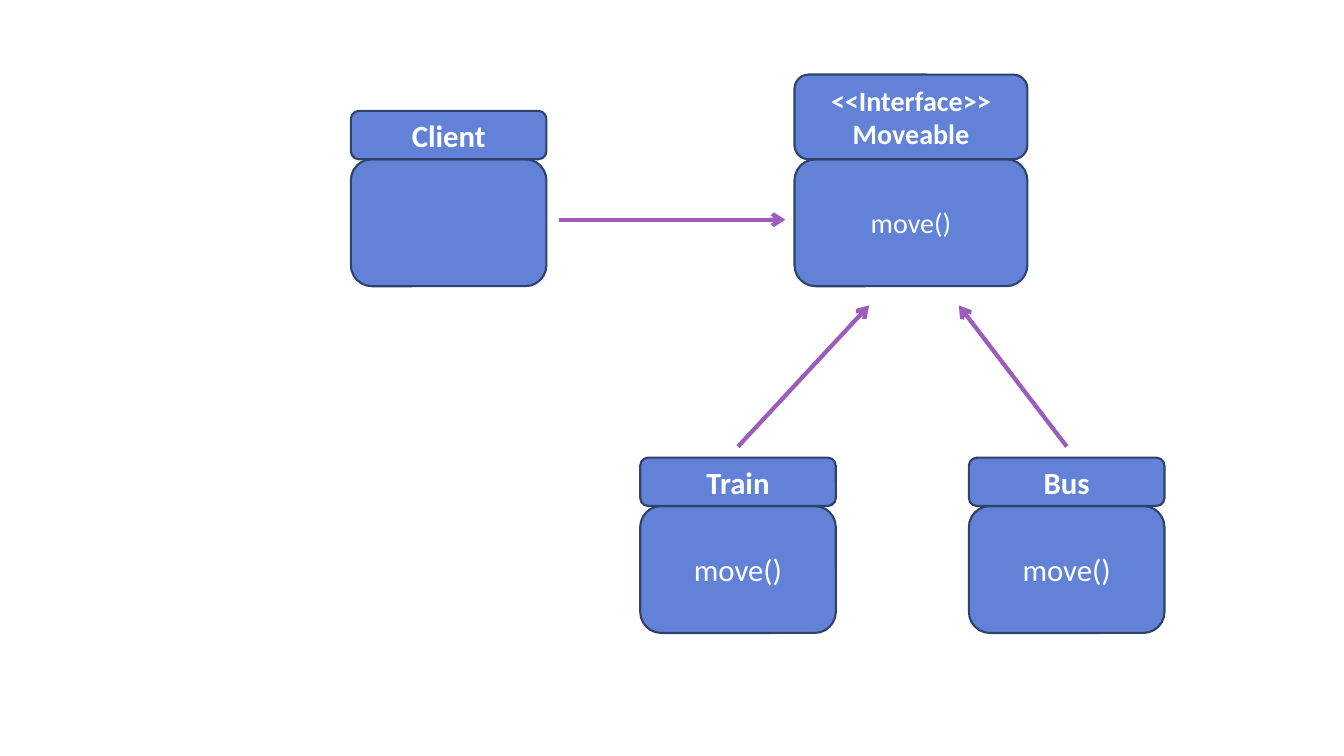
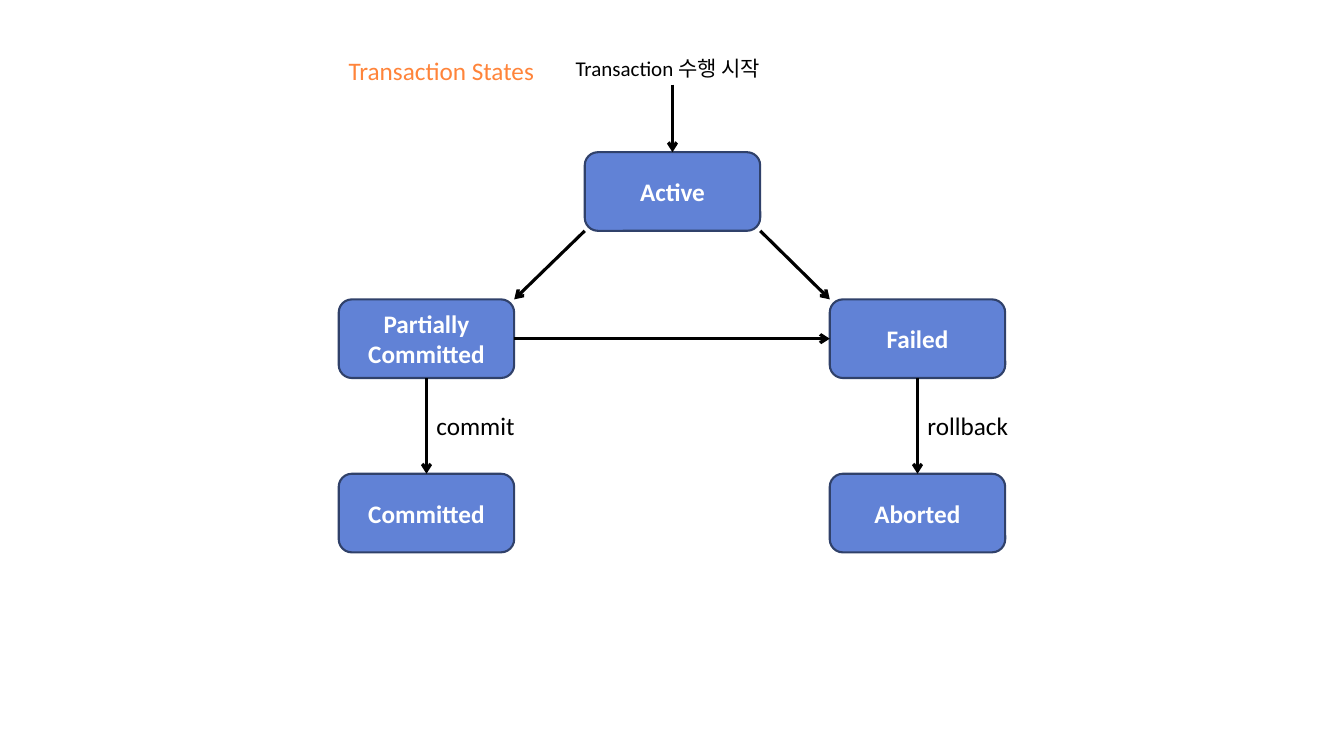
from dataclasses import dataclass
from typing import Optional

from lxml.etree import SubElement
from pptx import Presentation
from pptx.dml.color import RGBColor
from pptx.enum.shapes import MSO_CONNECTOR, MSO_SHAPE
from pptx.enum.text import MSO_ANCHOR, MSO_AUTO_SIZE, PP_ALIGN
from pptx.oxml.ns import qn
from pptx.shapes.autoshape import Shape
from pptx.shapes.connector import Connector
from pptx.slide import Slide
from pptx.util import Inches, Pt

TOP, LEFT, BOTTOM, RIGHT = range(4)


@dataclass(frozen=True)
class Theme:
    font: str = "Calibri"
    box_fill: RGBColor = RGBColor(0x61, 0x82, 0xD6)
    box_line: RGBColor = RGBColor(0x30, 0x41, 0x6A)
    box_text: RGBColor = RGBColor(0xFF, 0xFF, 0xFF)
    purple: RGBColor = RGBColor(0x9D, 0x5C, 0xBB)
    black: RGBColor = RGBColor(0, 0, 0)
    orange: RGBColor = RGBColor(0xFF, 0x84, 0x3A)
    class_size: float = 22
    interface_size: float = 20
    state_size: float = 18
    start_size: float = 15
    box_border: float = 1.5
    class_arrow: float = 3
    state_arrow: float = 2.25


THEME = Theme()


@dataclass(frozen=True)
class ClassBox:
    title: str
    method: str
    left: float
    body_top: float
    width: float = 1.94
    header_height: float = 0.48
    size: float = THEME.class_size


@dataclass(frozen=True)
class State:
    name: str
    left: float
    top: float


@dataclass(frozen=True)
class Label:
    text: str
    left: float
    top: float
    width: float
    height: float = 0.4
    size: float = THEME.state_size
    color: RGBColor = THEME.black
    wrap: bool = False


@dataclass(frozen=True)
class Arrow:
    start: tuple[float, float]
    end: tuple[float, float]


# Shared drawing
def write(shape: Shape, text: str, size: float, color: RGBColor,
          bold: bool = False, align: Optional[PP_ALIGN] = None) -> None:
    shape.text_frame.text = text
    for paragraph in shape.text_frame.paragraphs:
        paragraph.alignment = align
        font = paragraph.font
        font.name, font.size, font.bold = THEME.font, Pt(size), bold
        font.color.rgb = color


def draw_box(shapes, left: float, top: float, width: float, height: float,
             text: str, size: float, bold: bool) -> Shape:
    box = shapes.add_shape(MSO_SHAPE.ROUNDED_RECTANGLE, Inches(left),
                           Inches(top), Inches(width), Inches(height))
    box.shadow.inherit = False
    box.fill.solid()
    box.fill.fore_color.rgb = THEME.box_fill
    box.line.color.rgb = THEME.box_line
    box.line.width = Pt(THEME.box_border)
    box.text_frame.word_wrap = True
    box.text_frame.vertical_anchor = MSO_ANCHOR.MIDDLE
    if text:
        write(box, text, size, THEME.box_text, bold, PP_ALIGN.CENTER)
    return box


def draw_arrow(slide: Slide, arrow: Arrow, color: RGBColor,
               width: float) -> Connector:
    points = [Inches(value) for value in arrow.start + arrow.end]
    line = slide.shapes.add_connector(MSO_CONNECTOR.STRAIGHT, *points)
    line.line.color.rgb = color
    line.line.width = Pt(width)
    SubElement(line.get_or_add_ln(), qn("a:tailEnd"), type="arrow")
    SubElement(line._element.spPr, qn("a:effectLst"))
    return line


def draw_label(slide: Slide, label: Label) -> None:
    box = slide.shapes.add_textbox(Inches(label.left), Inches(label.top),
                                   Inches(label.width), Inches(label.height))
    box.text_frame.word_wrap = label.wrap
    box.text_frame.auto_size = MSO_AUTO_SIZE.SHAPE_TO_FIT_TEXT
    write(box, label.text, label.size, label.color)


# Class diagram
BODY_HEIGHT = 1.26
CLASSES = [
    ClassBox("Client", "", 3.48, 1.58),
    ClassBox("<<Interface>>\nMoveable", "move()", 7.88, 1.58, 2.31, 0.84,
             THEME.interface_size),
    ClassBox("Train", "move()", 6.35, 5.02),
    ClassBox("Bus", "move()", 9.61, 5.02),
]
CLASS_ARROWS = [
    Arrow((5.54, 2.18), (7.79, 2.18)),
    Arrow((7.32, 4.43), (8.62, 3.03)),
    Arrow((10.58, 4.43), (9.51, 3.03)),
]


def draw_class(slide: Slide, item: ClassBox) -> None:
    group = slide.shapes.add_group_shape()
    draw_box(group.shapes, item.left, item.body_top, item.width, BODY_HEIGHT,
             item.method, item.size, False)
    draw_box(group.shapes, item.left, item.body_top - item.header_height,
             item.width, item.header_height, item.title, item.size, True)


def build_class_diagram(slide: Slide) -> None:
    for item in CLASSES:
        draw_class(slide, item)
    for arrow in CLASS_ARROWS:
        draw_arrow(slide, arrow, THEME.purple, THEME.class_arrow)


# Transaction states
STATE_WIDTH, STATE_HEIGHT = 1.74, 0.78
COMMIT_LEFT, ACTIVE_LEFT, FAIL_LEFT = 3.36, 5.8, 8.23
ACTIVE_TOP, MIDDLE_TOP, FINAL_TOP = 1.51, 2.97, 4.7
ACTIVE_BOTTOM = ACTIVE_TOP + STATE_HEIGHT
STATES = [
    State("Active", ACTIVE_LEFT, ACTIVE_TOP),
    State("Partially Committed", COMMIT_LEFT, MIDDLE_TOP),
    State("Failed", FAIL_LEFT, MIDDLE_TOP),
    State("Committed", COMMIT_LEFT, FINAL_TOP),
    State("Aborted", FAIL_LEFT, FINAL_TOP),
]
# Source state, its side, target state, its side
TRANSITIONS = [
    ("Partially Committed", RIGHT, "Failed", LEFT),
    ("Partially Committed", BOTTOM, "Committed", TOP),
    ("Failed", BOTTOM, "Aborted", TOP),
]
START = Arrow((ACTIVE_LEFT + STATE_WIDTH / 2, 0.84),
              (ACTIVE_LEFT + STATE_WIDTH / 2, ACTIVE_TOP))
CORNER_ARROWS = [
    Arrow((ACTIVE_LEFT, ACTIVE_BOTTOM),
          (COMMIT_LEFT + STATE_WIDTH, MIDDLE_TOP)),
    Arrow((ACTIVE_LEFT + STATE_WIDTH, ACTIVE_BOTTOM),
          (FAIL_LEFT, MIDDLE_TOP)),
]
LABELS = [
    Label("Transaction 수행 시작", 5.61, 0.5, 2.11, 0.34, THEME.start_size),
    Label("commit", COMMIT_LEFT + STATE_WIDTH / 2, 4.02, 0.98),
    Label("rollback", FAIL_LEFT + STATE_WIDTH / 2, 4.02, 1),
    Label("Transaction States", COMMIT_LEFT, 0.5, 2.05, color=THEME.orange,
          wrap=True),
]


def build_state_diagram(slide: Slide) -> None:
    boxes = {
        state.name: draw_box(slide.shapes, state.left, state.top, STATE_WIDTH,
                             STATE_HEIGHT, state.name, THEME.state_size, True)
        for state in STATES
    }
    start = draw_arrow(slide, START, THEME.black, THEME.state_arrow)
    start.end_connect(boxes["Active"], TOP)
    for arrow in CORNER_ARROWS:
        draw_arrow(slide, arrow, THEME.black, THEME.state_arrow)
    for source, source_side, target, target_side in TRANSITIONS:
        # Joining both ends sets the position
        link = draw_arrow(slide, Arrow((0, 0), (0, 0)), THEME.black,
                          THEME.state_arrow)
        link.begin_connect(boxes[source], source_side)
        link.end_connect(boxes[target], target_side)
    for label in LABELS:
        draw_label(slide, label)


def main() -> None:
    deck = Presentation()
    deck.slide_width, deck.slide_height = Inches(13.33), Inches(7.5)
    blank = deck.slide_layouts[6]
    for build in (build_class_diagram, build_state_diagram):
        build(deck.slides.add_slide(blank))
    deck.save("out.pptx")


if __name__ == "__main__":
    main()
